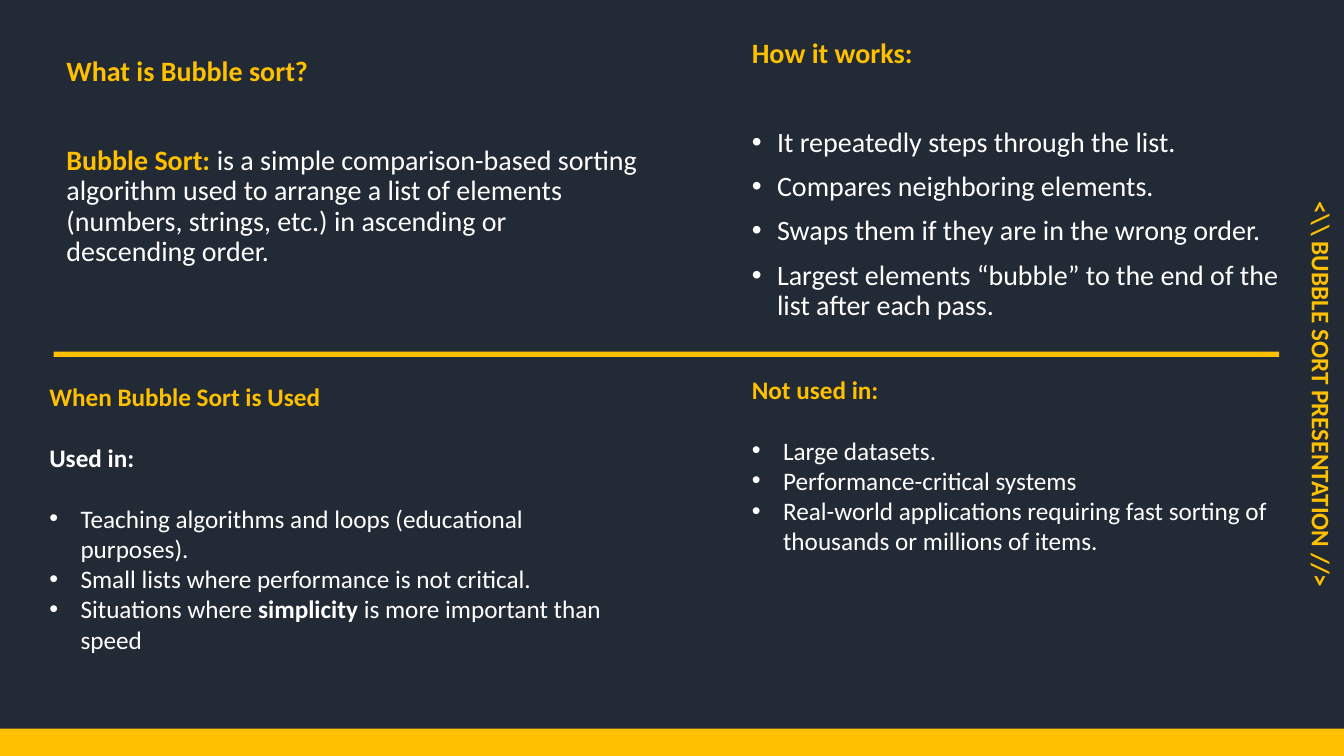
from dataclasses import dataclass

from lxml.etree import SubElement
from pptx import Presentation
from pptx.dml.color import RGBColor
from pptx.enum.shapes import MSO_SHAPE
from pptx.enum.text import MSO_ANCHOR, PP_ALIGN
from pptx.oxml.ns import qn
from pptx.util import Inches, Pt


@dataclass(frozen=True)
class Theme:
    font: str = "Calibri"
    background: RGBColor = RGBColor(0x22, 0x2A, 0x35)
    accent: RGBColor = RGBColor(0xFF, 0xC0, 0x00)
    text: RGBColor = RGBColor(0xFF, 0xFF, 0xFF)
    large: int = 20
    small: int = 18


THEME = Theme()

# Run styles: colour and bold
STYLES = {
    "heading": (THEME.accent, True),
    "strong": (THEME.text, True),
    "plain": (THEME.text, False),
}

# Paragraph layouts per row: size, line spacing, gap between blocks, gap between bullets, indent
UPPER = dict(size=THEME.large, line=0.9, block_gap=42, bullet_gap=10, indent=0.25)
LOWER = dict(size=THEME.small, line=1.0, block_gap=22, bullet_gap=0, indent=0.31)

# Content: places are left, top, width, height in percent of the slide
SIDE_TITLE = "<\\\\ BUBBLE SORT PRESENTATION //>"
SIDE_PLACE = (72.45, 49.33, 51.83, 5.73)
BARS = [(0, 96.4, 100, 3.6), (3.98, 46.53, 91.2, 0.67)]

PANELS = [
    dict(
        place=(55.2, 4.53, 43.2, 48.4), layout=UPPER, top_inset=0.05,
        blocks=[[("How it works:", "heading")]],
        bullets=[
            [("It repeatedly steps through the list.", "plain")],
            [("Compares neighboring elements.", "plain")],
            [("Swaps them if they are in the wrong order.", "plain")],
            [("Largest elements “bubble” to the end of the list after each pass.", "plain")],
        ],
    ),
    dict(
        place=(4.2, 6.93, 44.18, 37.33), layout=UPPER, top_inset=0.05,
        blocks=[
            [("What is Bubble sort?", "heading")],
            [("Bubble Sort: ", "heading"),
             ("is a simple comparison-based sorting algorithm used to arrange a list of "
              "elements (numbers, strings, etc.) in ascending or descending order.", "plain")],
        ],
        bullets=[],
    ),
    dict(
        place=(2.93, 48.93, 43.43, 47.6), layout=LOWER, top_inset=0.11,
        blocks=[[("When Bubble Sort is Used", "heading")], [("Used in:", "strong")]],
        bullets=[
            [("Teaching algorithms and loops (educational purposes).", "plain")],
            [("Small lists where performance is not critical.", "plain")],
            [("Situations where ", "plain"), ("simplicity", "strong"),
             (" is more important than speed", "plain")],
        ],
    ),
    dict(
        place=(55.2, 49.33, 43.43, 28.8), layout=LOWER, top_inset=0.01,
        blocks=[[("Not used in:", "heading")]],
        bullets=[
            [("Large datasets.", "plain")],
            [("Performance-critical systems", "plain")],
            [("Real-world applications requiring fast sorting of thousands or "
              "millions of items.", "plain")],
        ],
    ),
]

presentation = Presentation()
presentation.slide_width = Inches(13.33)
presentation.slide_height = Inches(7.5)
slide = presentation.slides.add_slide(presentation.slide_layouts[6])
slide.background.fill.solid()
slide.background.fill.fore_color.rgb = THEME.background


def to_box(place):
    """Turn percentages of the slide into lengths."""
    sides = (presentation.slide_width, presentation.slide_height) * 2
    return [int(share * side / 100) for share, side in zip(place, sides)]


def add_bar(place):
    bar = slide.shapes.add_shape(MSO_SHAPE.RECTANGLE, *to_box(place))
    bar.shadow.inherit = False
    bar.fill.solid()
    bar.fill.fore_color.rgb = THEME.accent
    bar.line.fill.background()


def add_text_box(place):
    text_box = slide.shapes.add_textbox(*to_box(place))
    text_box.text_frame.word_wrap = True
    return text_box


def set_style(font, style):
    font.color.rgb, font.bold = STYLES[style]


def add_bullet(paragraph, indent):
    properties = paragraph._p.get_or_add_pPr()
    properties.set("marL", str(Inches(indent)))
    properties.set("indent", str(-Inches(indent)))
    SubElement(properties, qn("a:buFont")).set("typeface", "Arial")
    SubElement(properties, qn("a:buChar")).set("char", "•")


def write_runs(paragraph, runs, size):
    paragraph.font.name = THEME.font
    paragraph.font.size = Pt(size)
    if len(runs) == 1:
        set_style(paragraph.font, runs[0][1])
    for text, style in runs:
        run = paragraph.add_run()
        run.text = text
        if len(runs) > 1:
            set_style(run.font, style)


def add_panel(place, layout, top_inset, blocks, bullets):
    frame = add_text_box(place).text_frame
    frame.margin_top = Inches(top_inset)
    for index, runs in enumerate(blocks + bullets):
        paragraph = frame.add_paragraph() if index else frame.paragraphs[0]
        if index >= len(blocks):
            add_bullet(paragraph, layout["indent"])
        paragraph.line_spacing = layout["line"]
        if index:
            gap = "block_gap" if index <= len(blocks) else "bullet_gap"
            paragraph.space_before = Pt(layout[gap])
        write_runs(paragraph, runs, layout["size"])


# Bars along the bottom and between the rows
for bar_place in BARS:
    add_bar(bar_place)

# Rotated title on the right edge
side_box = add_text_box(SIDE_PLACE)
side_box.rotation = 90
side_box.text_frame.vertical_anchor = MSO_ANCHOR.MIDDLE
side_paragraph = side_box.text_frame.paragraphs[0]
side_paragraph.alignment = PP_ALIGN.CENTER
write_runs(side_paragraph, [(SIDE_TITLE, "heading")], THEME.small)

# Four text panels
for panel in PANELS:
    add_panel(**panel)

presentation.save("out.pptx")
